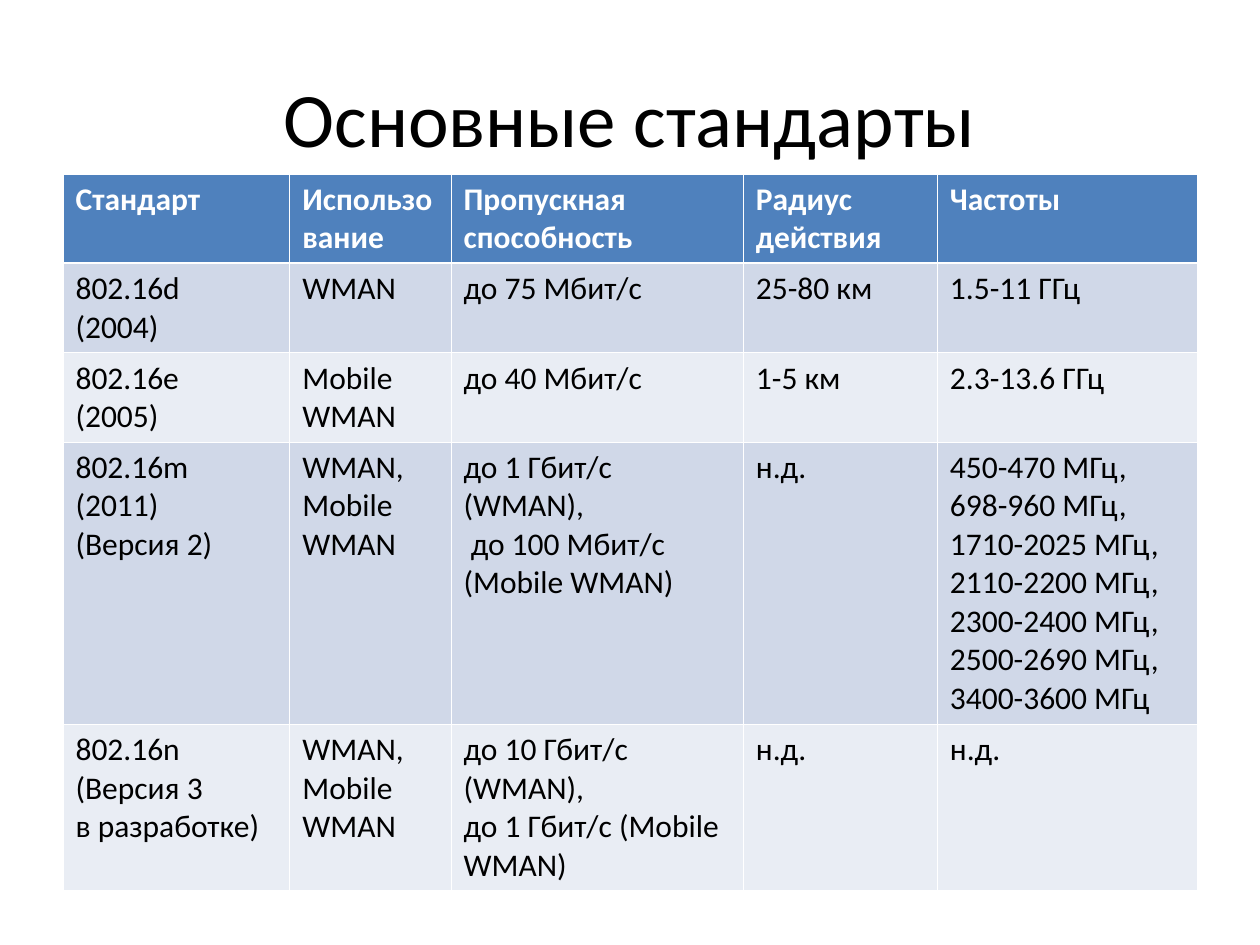
import pptx
import pptx.util
import pptx.dml.color
import pptx.enum.text
from lxml import etree

Inches = pptx.util.Inches
Pt = pptx.util.Pt
RGBColor = pptx.dml.color.RGBColor

FONT = "Calibri"
BLACK = RGBColor(0x00, 0x00, 0x00)
WHITE = RGBColor(0xFF, 0xFF, 0xFF)
HEADER = RGBColor(0x4F, 0x81, 0xBD)
BANDS = [RGBColor(0xE9, 0xED, 0xF4), RGBColor(0xD0, 0xD8, 0xE8)]
THIN, THICK = 0.45, 1.47

TITLE = "Основные стандарты"
COLUMN_WIDTHS = [1.8, 1.28, 2.32, 1.54, 2.06]
ROW_HEIGHTS = [0.71, 0.71, 0.71, 2.24, 1.32]
ROWS = [
    ["Стандарт", "Использование", "Пропускная способность", "Радиус действия", "Частоты"],
    ["802.16d\n(2004)", "WMAN", "до 75 Мбит/с", "25-80 км", "1.5-11 ГГц"],
    ["802.16e\n(2005)", "Mobile WMAN", "до 40 Мбит/с", "1-5 км", "2.3-13.6 ГГц"],
    ["802.16m\n(2011)\n(Версия 2)", "WMAN, Mobile WMAN",
     "до 1 Гбит/с (WMAN),\n до 100 Мбит/с (Mobile WMAN)", "н.д.",
     "450-470 МГц, 698-960 МГц, 1710-2025 МГц, 2110-2200 МГц, "
     "2300-2400 МГц, 2500-2690 МГц, 3400-3600 МГц"],
    ["802.16n\n(Версия 3\nв разработке)", "WMAN, Mobile WMAN",
     "до 10 Гбит/с (WMAN),\nдо 1 Гбит/с (Mobile WMAN)", "н.д.", "н.д."],
]


def format_text(tf, size, color, bold=False):
    for p in tf.paragraphs:
        for r in p.runs:
            r.font.name = FONT
            r.font.size = Pt(size)
            r.font.bold = bold
            r.font.color.rgb = color


def add_borders(cell, row):
    ns = "{http://schemas.openxmlformats.org/drawingml/2006/main}"
    widths = {"lnL": THIN, "lnR": THIN,
              "lnT": THICK if row == 1 else THIN,
              "lnB": THICK if row == 0 else THIN}
    tcPr = cell._tc.get_or_add_tcPr()
    for tag, width in widths.items():
        ln = etree.SubElement(tcPr, ns + tag, w=str(Pt(width)))
        fill = etree.SubElement(ln, ns + "solidFill")
        etree.SubElement(fill, ns + "srgbClr", val=str(WHITE))


def add_title(s):
    sp = s.shapes.add_textbox(Inches(0.5), Inches(0.3), Inches(9), Inches(1.25))
    tf = sp.text_frame
    tf.word_wrap = True
    tf.vertical_anchor = pptx.enum.text.MSO_ANCHOR.MIDDLE
    tf.text = TITLE
    tf.paragraphs[0].alignment = pptx.enum.text.PP_ALIGN.CENTER
    format_text(tf, 44, BLACK)


def add_standards(s):
    table = s.shapes.add_table(
        len(ROWS), len(COLUMN_WIDTHS), Inches(0.5), Inches(1.38),
        Inches(sum(COLUMN_WIDTHS)), Inches(sum(ROW_HEIGHTS))).table
    for column, width in zip(table.columns, COLUMN_WIDTHS):
        column.width = Inches(width)
    for row, height in zip(table.rows, ROW_HEIGHTS):
        row.height = Inches(height)
    for i, texts in enumerate(ROWS):
        header = i == 0
        for j, text in enumerate(texts):
            cell = table.cell(i, j)
            cell.text_frame.text = text
            format_text(cell.text_frame, 18, WHITE if header else BLACK, header)
            add_borders(cell, i)
            cell.fill.solid()
            cell.fill.fore_color.rgb = HEADER if header else BANDS[i % 2]


def main():
    prs = pptx.Presentation()
    prs.slide_width = Inches(10)
    prs.slide_height = Inches(7.5)
    s = prs.slides.add_slide(prs.slide_layouts[6])
    add_title(s)
    add_standards(s)
    prs.save("out.pptx")


if __name__ == "__main__":
    main()
